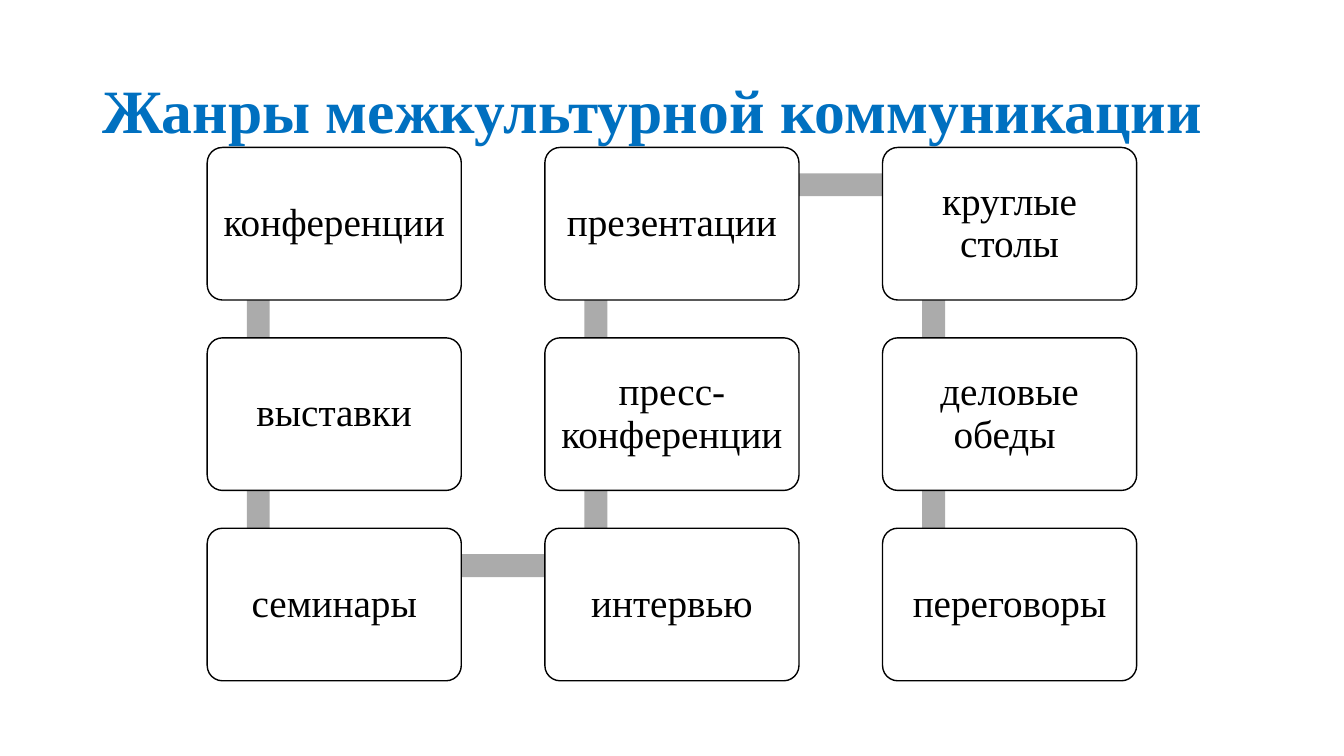
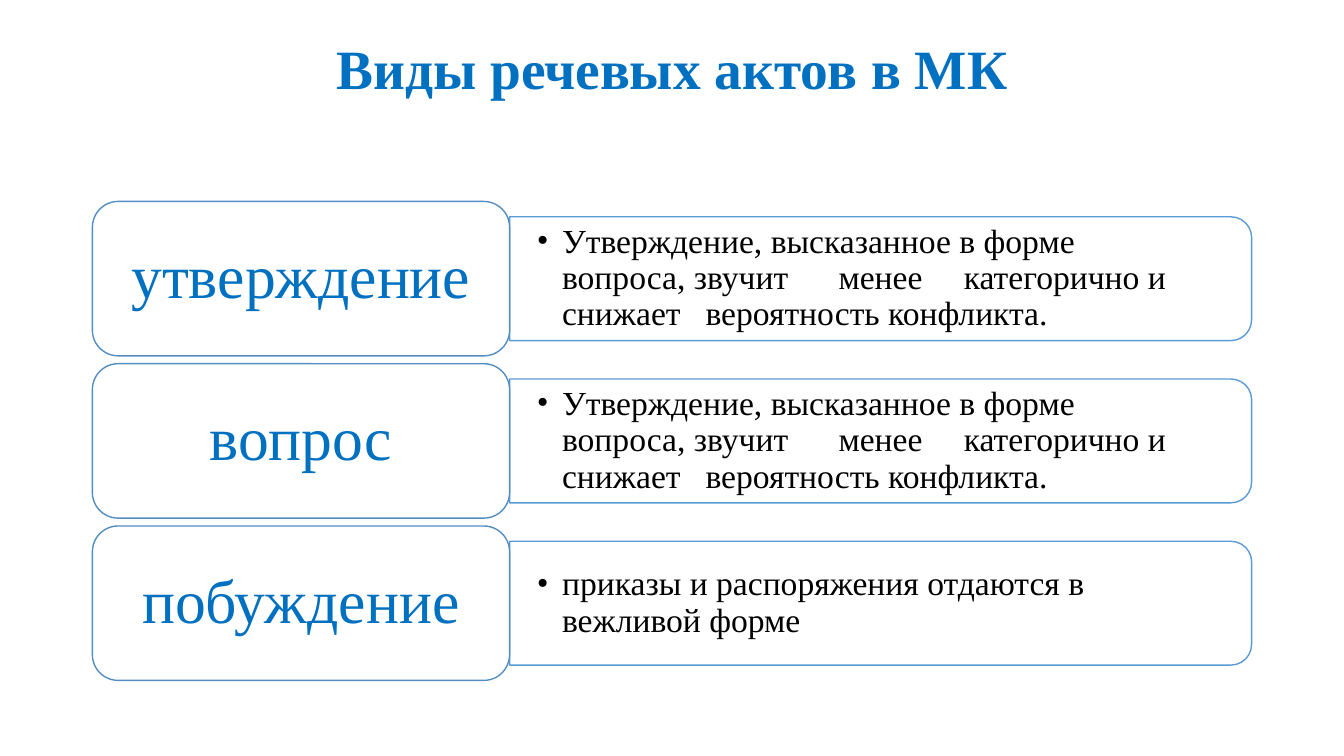
from lxml.etree import SubElement
from pptx import Presentation
from pptx.dml.color import RGBColor
from pptx.enum.shapes import MSO_SHAPE as Shape
from pptx.enum.text import MSO_ANCHOR as Anchor, PP_ALIGN as Align
from pptx.oxml.ns import qn
from pptx.util import Pt

FONT = "Times New Roman"
COLORS = {
    "accent": "0070C0",
    "text": "000000",
    "box": "FFFFFF",
    "link": "ABABAB",
    "label_line": "538DC1",
    "detail_line": "5B9BD5",
}
TITLE_LEFT, TITLE_TOP, TITLE_WIDTH = 66, 28.75, 828

# Each column is read along the chain: down, up, down
GENRES = [
    ["конференции", "выставки", "семинары"],
    ["интервью", "пресс-конференции", "презентации"],
    ["круглые столы", "деловые обеды ", "переговоры"],
]
SOFT_STATEMENT = ("Утверждение, высказанное в форме вопроса, звучит\tменее\t"
                  "категорично и снижает\tвероятность конфликта.")
SPEECH_ACTS = [
    ("утверждение", SOFT_STATEMENT),
    ("вопрос", SOFT_STATEMENT),
    ("побуждение", "приказы и распоряжения отдаются в вежливой форме"),
]


def rgb(name):
    return RGBColor.from_string(COLORS[name])


def write(sp, text, size, color, align, insets=None, bold=False):
    """Fill a shape with one paragraph; insets are left, top, right, bottom."""
    tf = sp.text_frame
    tf.word_wrap = True
    tf.vertical_anchor = Anchor.MIDDLE
    if insets:
        (tf.margin_left, tf.margin_top,
         tf.margin_right, tf.margin_bottom) = map(Pt, insets)
    p = tf.paragraphs[0]
    p.alignment = align
    p.line_spacing = 0.9
    r = p.add_run()
    r.text = text
    r.font.name = FONT
    r.font.size = Pt(size)
    r.font.bold = bold
    r.font.color.rgb = rgb(color)
    return p


def add_box(slide, kind, box, fill, line=None, adj=None):
    sp = slide.shapes.add_shape(kind, *map(Pt, box))
    sp.shadow.inherit = False
    sp.fill.solid()
    sp.fill.fore_color.rgb = rgb(fill)
    if line:
        sp.line.color.rgb = rgb(line)
        sp.line.width = Pt(1)
    else:
        sp.line.fill.background()
    if adj is not None:
        sp.adjustments[0] = adj
    return sp


def add_titled_slide(prs, title, size, height, align):
    slide = prs.slides.add_slide(prs.slide_layouts[5])
    sp = slide.shapes.title
    sp.left, sp.top = Pt(TITLE_LEFT), Pt(TITLE_TOP)
    sp.width, sp.height = Pt(TITLE_WIDTH), Pt(height)
    write(sp, title, size, "accent", align, bold=True)
    return slide


def add_bullet(p, indent, tabs):
    """Hang a bullet on the paragraph and set its tab stops."""
    pPr = p._p.get_or_add_pPr()
    pPr.set("marL", str(Pt(indent)))
    pPr.set("indent", str(-Pt(indent)))
    SubElement(pPr, qn("a:buFont"), typeface=FONT)
    SubElement(pPr, qn("a:buChar"), char="•")
    stops = SubElement(pPr, qn("a:tabLst"))
    for pos in tabs:
        SubElement(stops, qn("a:tab"), pos=str(Pt(pos)), algn="l")


def add_chain(slide, box, columns):
    """Grid of boxes joined by bars into one winding chain."""
    left, top, width, height = box
    box_w, box_h, bar = 181.5, 109, 16.4
    step_x = (width - box_w) / (len(columns) - 1)
    step_y = (height - box_h) / (len(columns[0]) - 1)
    cells = []
    for col, names in enumerate(columns):
        for i, name in enumerate(names):
            row = len(names) - 1 - i if col % 2 else i
            cells.append((left + col * step_x, top + row * step_y, name))

    # Bars run between the same inner point of neighbouring boxes
    for (x1, y1, _), (x2, y2, _) in zip(cells, cells[1:]):
        x, y = min(x1, x2) + 36.5, min(y1, y2) + 26.7
        w, h = abs(x2 - x1), abs(y2 - y1)
        if w > h:
            bar_box = (x, y - bar / 2, w, bar)
        else:
            bar_box = (x - bar / 2, y, bar, h)
        add_box(slide, Shape.RECTANGLE, bar_box, "link")

    for x, y, name in cells:
        sp = add_box(slide, Shape.ROUNDED_RECTANGLE, (x, y, box_w, box_h),
                     "box", "text", 0.1)
        write(sp, name, 28, "text", Align.CENTER, (6, 6, 6, 6))


def add_act_row(slide, box, label, detail):
    """Label box with a lower detail panel attached to its right."""
    left, top, width, height = box
    label_w, panel_h = 298, 88.4
    panel_w = width - label_w
    panel_x, panel_y = left + label_w, top + (height - panel_h) / 2

    # Panel: turned so that its rounded side faces right
    turned = (panel_x + (panel_w - panel_h) / 2,
              panel_y + (panel_h - panel_w) / 2, panel_h, panel_w)
    sp = add_box(slide, Shape.ROUND_2_SAME_RECTANGLE, turned,
                 "box", "detail_line")
    sp.rotation = 90
    tb = slide.shapes.add_textbox(*map(Pt, (panel_x, panel_y,
                                            panel_w, panel_h)))
    p = write(tb, detail, 24, "text", Align.LEFT, (19.5, 6, 48, 6))
    add_bullet(p, 18, (120.5, 215.5, 305))

    # Label
    sp = add_box(slide, Shape.ROUNDED_RECTANGLE, (left, top, label_w, height),
                 "box", "label_line")
    write(sp, label, 44, "accent", Align.CENTER, (18, 12, 18, 12))


def build_genres(prs):
    slide = add_titled_slide(prs, "Жанры межкультурной коммуникации",
                             44, 104.4, Align.LEFT)
    add_chain(slide, (148, 105.3, 663.9, 381), GENRES)


def build_speech_acts(prs):
    slide = add_titled_slide(prs, "Виды речевых актов в МК",
                             39.6, 45, Align.CENTER)
    for i, (label, detail) in enumerate(SPEECH_ACTS):
        add_act_row(slide, (66, 143.9 + i * 115.9, 828, 110.3), label, detail)


def main():
    prs = Presentation()
    prs.slide_width, prs.slide_height = Pt(960), Pt(540)
    build_genres(prs)
    build_speech_acts(prs)
    prs.save("out.pptx")


if __name__ == "__main__":
    main()
